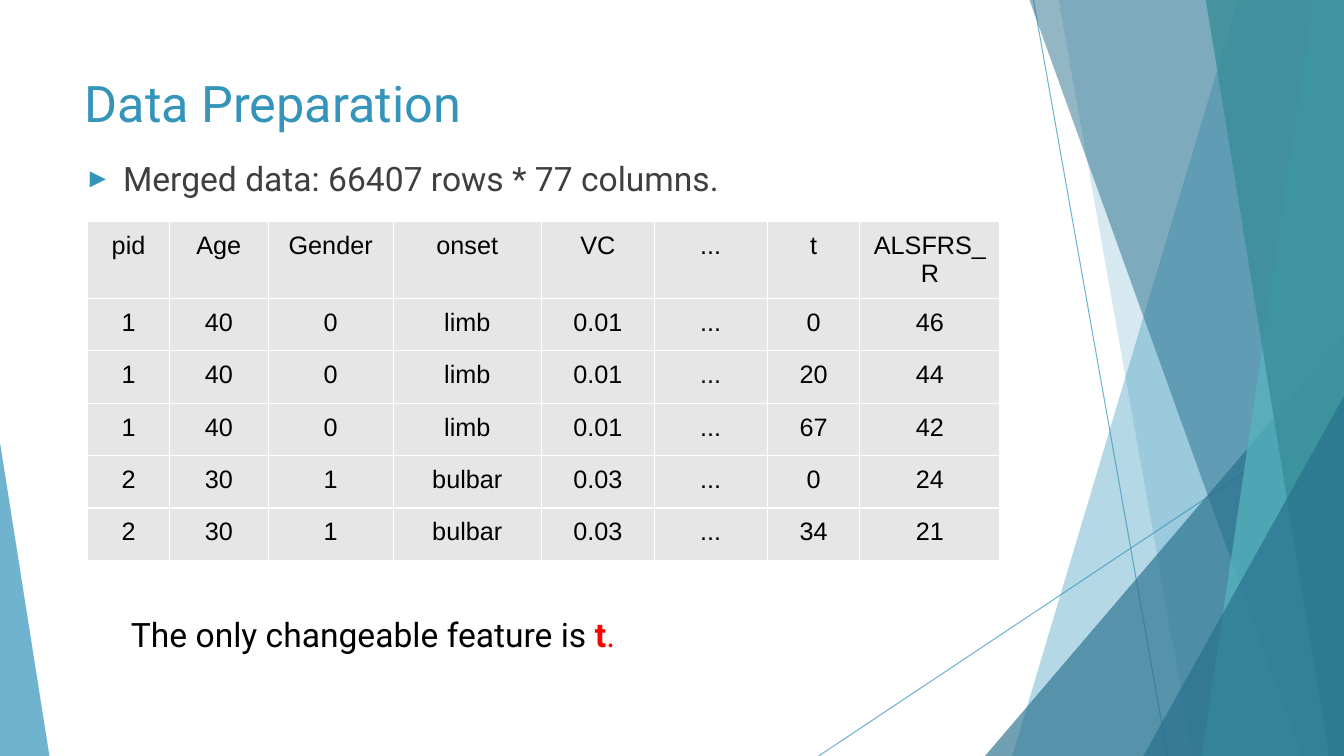
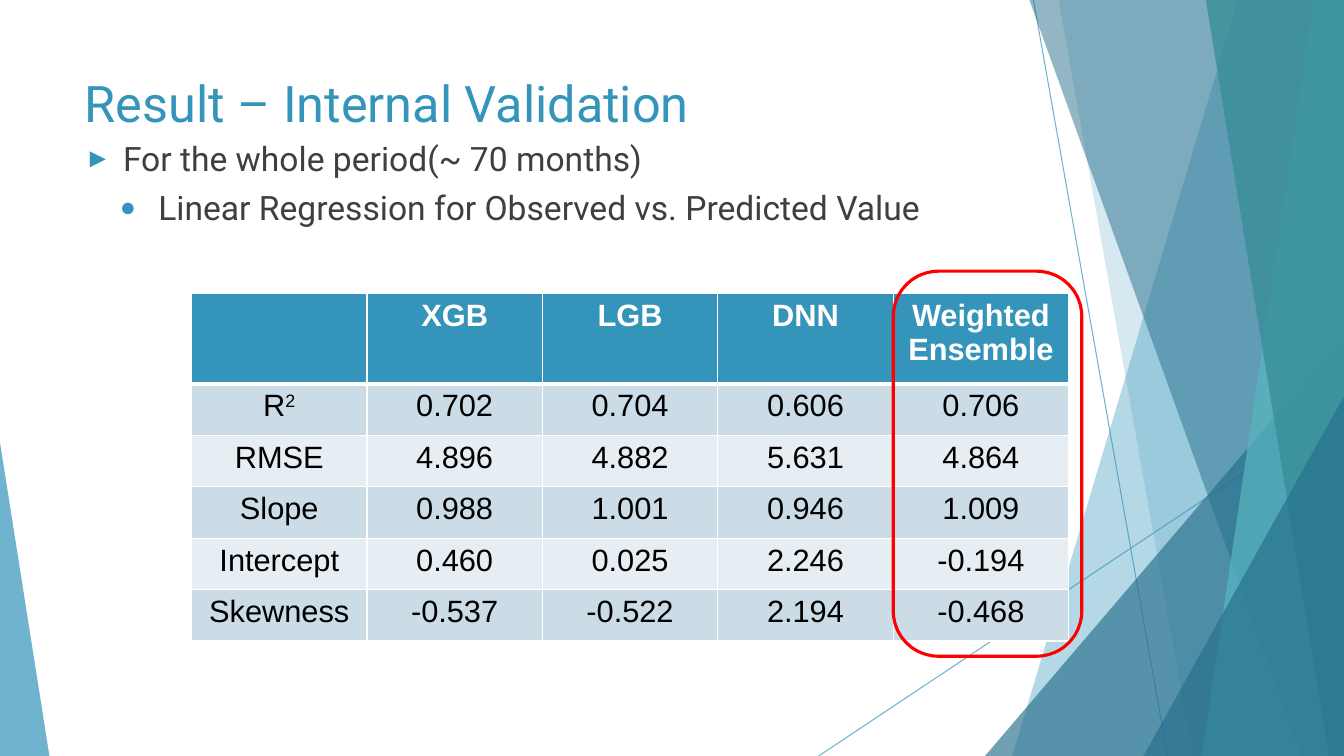
import lxml.etree
import pptx
import pptx.dml.color
import pptx.enum.shapes
import pptx.enum.text
import pptx.oxml.ns
import pptx.util

Inches, Pt = pptx.util.Inches, pptx.util.Pt
RGBColor = pptx.dml.color.RGBColor
SHAPE = pptx.enum.shapes.MSO_SHAPE
qn = pptx.oxml.ns.qn

BLUE = RGBColor(0x34, 0x94, 0xBA)
NAVY = RGBColor(0x26, 0x6F, 0x8B)
AQUA = RGBColor(0x58, 0xB6, 0xC0)
TEAL = RGBColor(0x39, 0x8F, 0x98)
DARK = RGBColor(0x3F, 0x3F, 0x3F)
BLACK = RGBColor(0, 0, 0)
WHITE = RGBColor(0xFF, 0xFF, 0xFF)
RED = RGBColor(0xFF, 0, 0)
GREY = RGBColor(0xE6, 0xE6, 0xE6)
BAND_DARK = RGBColor(0xCC, 0xDC, 0xE6)
BAND_LIGHT = RGBColor(0xE7, 0xEE, 0xF3)

WIDTH, HEIGHT = 13.33, 7.5
LINES = [(10.25, 0, 11.58, HEIGHT), (WIDTH, 4.03, 8.12, HEIGHT)]
FACETS = [
    ("band", 12.28, 10.04, BLUE, 36),
    ("band", 10.5, 11.83, BLUE, 20),
    ("corner", 9.77, 3.33, NAVY, 66),
    ("band", 10.21, 12.91, NAVY, 50),
    ("band", 13.03, 11.92, AQUA, 70),
    ("band", 11.96, 13.18, TEAL, 80),
    ("corner", 11.34, 3.93, NAVY, 66),
]


class Deck:
    """Facet-styled presentation that adds elements to its current slide."""

    def __init__(self):
        self.prs = pptx.Presentation()
        self.prs.slide_width, self.prs.slide_height = Inches(WIDTH), Inches(HEIGHT)
        self.s = None

    def new_slide(self, title):
        self.s = self.prs.slides.add_slide(self.prs.slide_layouts[1])
        if len(self.prs.slides) == 1:
            self.backdrop()
        tf = self.place(self.s.shapes.title, 0.74, 0.67, 9.4, 0.8)
        tf.text = title
        tf.paragraphs[0].alignment = pptx.enum.text.PP_ALIGN.LEFT
        self.style(tf.paragraphs[0], 36, BLUE)

    def place(self, sp, x, y, w, h):
        sp.left, sp.top, sp.width, sp.height = map(Inches, (x, y, w, h))
        tf = sp.text_frame
        tf.word_wrap = True
        tf.auto_size = pptx.enum.text.MSO_AUTO_SIZE.NONE
        tf.vertical_anchor = pptx.enum.text.MSO_ANCHOR.TOP
        return tf

    def style(self, p, size, color, font="Roboto", bold=False):
        for r in p.runs:
            r.font.name, r.font.size, r.font.bold = font, Pt(size), bold
            r.font.color.rgb = color

    def fade(self, sp, percent):
        for clr in sp.element.spPr.iter(qn("a:srgbClr")):
            lxml.etree.SubElement(clr, qn("a:alpha")).set("val", str(percent * 1000))

    def paint(self, sp, color, percent):
        sp.shadow.inherit = False
        sp.fill.solid()
        sp.fill.fore_color.rgb = color
        sp.line.fill.background()
        self.fade(sp, percent)

    def triangle(self, shapes, x, y, w, apex, color, percent):
        sp = shapes.add_shape(SHAPE.ISOSCELES_TRIANGLE, Inches(x), Inches(y),
                              Inches(w), Inches(HEIGHT - y))
        sp.adjustments[0] = apex
        self.paint(sp, color, percent)

    def band(self, shapes, top, bottom, color, percent):
        fb = shapes.build_freeform(Inches(top), 0)
        corners = [(WIDTH, 0), (WIDTH, HEIGHT), (bottom, HEIGHT)]
        fb.add_line_segments([(Inches(x), Inches(y)) for x, y in corners])
        self.paint(fb.convert_to_shape(), color, percent)

    def backdrop(self):
        group = self.s.shapes.add_group_shape()
        for ends in LINES:
            line = group.shapes.add_connector(
                pptx.enum.shapes.MSO_CONNECTOR.STRAIGHT, *map(Inches, ends))
            line.line.color.rgb, line.line.width = BLUE, Pt(0.75)
            self.fade(line, 70)
            lxml.etree.SubElement(line.element.spPr, qn("a:effectLst"))
        for kind, a, b, color, percent in FACETS:
            if kind == "band":
                self.band(group.shapes, a, b, color, percent)
            else:
                self.triangle(group.shapes, a, b, WIDTH - a, 1, color, percent)
        self.triangle(group.shapes, 0, 4.39, 0.49, 0, BLUE, 70)
        for i, node in enumerate(group.element.iter(qn("p:cNvPr")), 100):
            node.set("id", str(i))
        self.prs.slide_master.shapes.element.insert(2, group.element)

    def bullets(self, y, h, items):
        tf = self.place(self.s.placeholders[1], 0.74, y, 9.4, h)
        tf.text = "\n".join(items)
        for level, p in enumerate(tf.paragraphs):
            p.level = level
            p.space_before = Pt(6 * level)
            pPr = p._p.get_or_add_pPr()
            pPr.set("marL", str(Inches(0.38 + 0.35 * level)))
            pPr.set("indent", str(-Inches(0.38)))
            clr = lxml.etree.SubElement(pPr, qn("a:buClr"))
            lxml.etree.SubElement(clr, qn("a:srgbClr")).set("val", str(BLUE))
            lxml.etree.SubElement(pPr, qn("a:buSzPct")).set("val", "80000")
            lxml.etree.SubElement(pPr, qn("a:buChar")).set("char", "►●"[level])
            self.style(p, 24, DARK)

    def text(self, x, y, w, h, parts):
        tf = self.place(self.s.shapes.add_textbox(0, 0, 0, 0), x, y, w, h)
        p = tf.paragraphs[0]
        for text, color, bold in parts:
            r = p.add_run()
            r.text = text
            r.font.name, r.font.size, r.font.bold = "Roboto", Pt(24), bold
            r.font.color.rgb = color

    def borders(self, cell, **widths):
        tcPr = cell._tc.get_or_add_tcPr()
        for side in "LRTB":
            ln = lxml.etree.SubElement(tcPr, qn("a:ln" + side))
            ln.set("w", str(Pt(widths.get(side, 1))))
            fill = lxml.etree.SubElement(ln, qn("a:solidFill"))
            lxml.etree.SubElement(fill, qn("a:srgbClr")).set("val", str(WHITE))

    def table(self, x, y, cols, rows, data, size, margin, fills, header=False):
        tbl = self.s.shapes.add_table(len(rows), len(cols), Inches(x), Inches(y),
                                      Inches(sum(cols)), Inches(sum(rows))).table
        tbl.first_row, tbl.horz_banding = header, False
        for col, w in zip(tbl.columns, cols):
            col.width = Inches(w)
        for i, (row, h) in enumerate(zip(tbl.rows, rows)):
            row.height = Inches(h)
            head = header and i == 0
            edges = {0: {"B": 3}, 1: {"T": 3}}.get(i, {}) if header else {}
            for cell, value in zip(row.cells, data[i]):
                self.borders(cell, **edges)
                cell.fill.solid()
                cell.fill.fore_color.rgb = fills[i]
                cell.margin_left = cell.margin_right = Inches(0.1)
                cell.margin_top = cell.margin_bottom = Inches(margin)
                cell.text_frame.text = value
                p = cell.text_frame.paragraphs[0]
                p.alignment = pptx.enum.text.PP_ALIGN.CENTER
                self.style(p, size, WHITE if head else BLACK, "Arial", head)
        return tbl

    def superscript(self, cell, text, size):
        p = cell.text_frame.paragraphs[0]
        r = p.add_run()
        r.text = text
        self.style(p, size, BLACK, "Arial")
        r._r.get_or_add_rPr().set("baseline", "30000")

    def highlight(self, x, y, w, h):
        sp = self.s.shapes.add_shape(SHAPE.ROUNDED_RECTANGLE, *map(Inches, (x, y, w, h)))
        sp.adjustments[0] = 0.24
        sp.shadow.inherit = False
        sp.fill.background()
        sp.line.color.rgb, sp.line.width = RED, Pt(2.25)


def main():
    deck = Deck()

    deck.new_slide("Data Preparation")
    deck.bullets(1.52, 0.6, ["Merged data: 66407 rows * 77 columns."])
    patients = [
        ["pid", "Age", "Gender", "onset", "VC", "...", "t", "ALSFRS_R"],
        ["1", "40", "0", "limb", "0.01", "...", "0", "46"],
        ["1", "40", "0", "limb", "0.01", "...", "20", "44"],
        ["1", "40", "0", "limb", "0.01", "...", "67", "42"],
        ["2", "30", "1", "bulbar", "0.03", "...", "0", "24"],
        ["2", "30", "1", "bulbar", "0.03", "...", "34", "21"],
    ]
    deck.table(0.87, 2.2, [0.81, 0.98, 1.24, 1.47, 1.12, 1.12, 0.92, 1.39],
               [0.59] + [0.52] * 5, patients, 18, 0.1, [GREY] * 6)
    deck.text(1.2, 6.04, 5.42, 0.5, [("The only changeable feature is ", BLACK, False),
                                     ("t", RED, True), (".", RED, False)])

    deck.new_slide("Result – Internal Validation")
    deck.bullets(1.32, 0.95, ["For the whole period(~ 70 months)",
                              "Linear Regression for Observed vs. Predicted Value"])
    scores = [
        ["", "XGB", "LGB", "DNN", "Weighted Ensemble"],
        ["R", "0.702", "0.704", "0.606", "0.706"],
        ["RMSE", "4.896", "4.882", "5.631", "4.864"],
        ["Slope", "0.988", "1.001", "0.946", "1.009"],
        ["Intercept", "0.460", "0.025", "2.246", "-0.194"],
        ["Skewness", "-0.537", "-0.522", "2.194", "-0.468"],
    ]
    fills = [BLUE] + [BAND_DARK, BAND_LIGHT] * 2 + [BAND_DARK]
    tbl = deck.table(1.9, 2.91, [1.74] * 5, [0.9] + [0.51] * 5, scores, 22, 0.05,
                     fills, header=True)
    deck.superscript(tbl.cell(1, 0), "2", 22)
    deck.highlight(8.86, 2.69, 1.87, 3.82)

    deck.prs.save("out.pptx")


if __name__ == "__main__":
    main()
